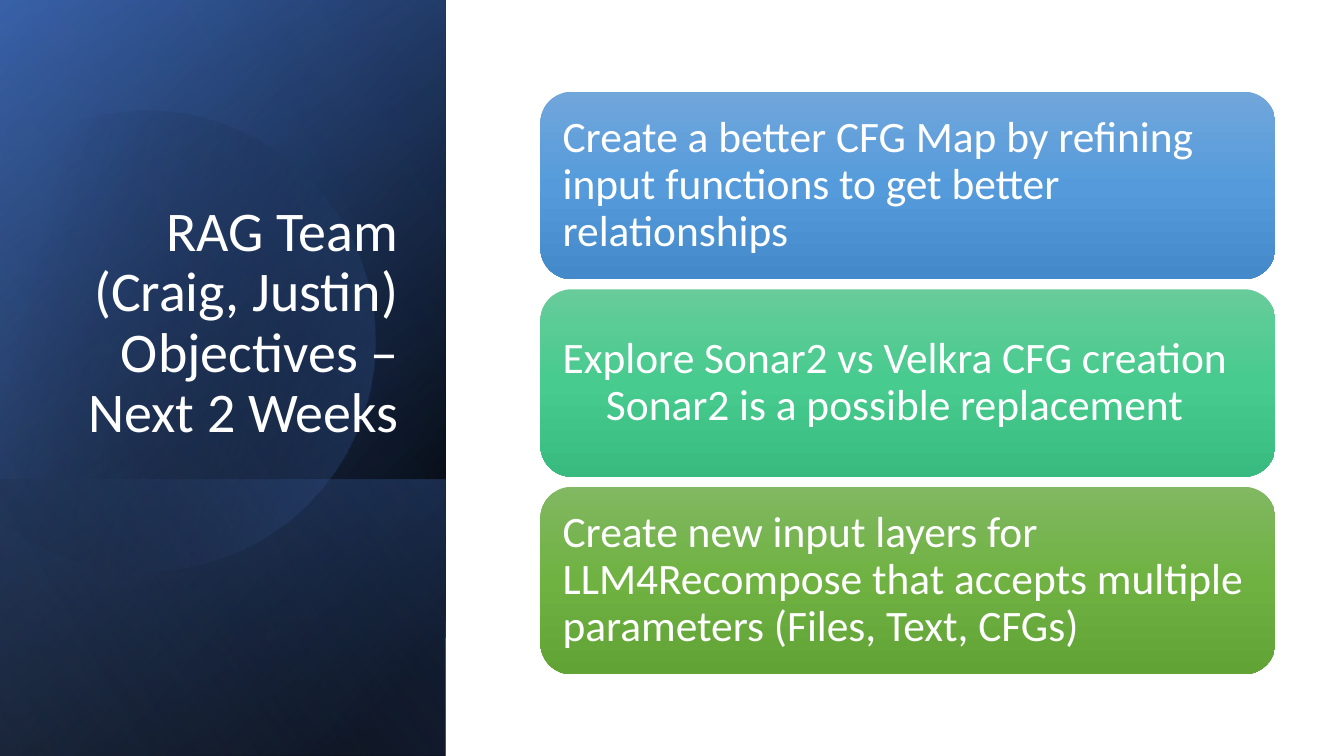
import math

from lxml import etree
from pptx import Presentation
from pptx.dml.color import RGBColor
from pptx.enum import shapes, text
from pptx.oxml import ns
from pptx.util import Inches, Pt

FONT = "Calibri"
WHITE = "FFFFFF"
PANEL_WIDTH, PANEL_HEIGHT = 4.42, 7.5

# Panel layers: height, gradient stops (position, colour, opacity), angle
BASE_LAYERS = [
    (PANEL_HEIGHT, [(8, "000000", 100), (100, "2F5597", 100)], 50),
    (PANEL_HEIGHT, [(0, "000000", 0), (99, "4472C4", 46)], 30),
    (2.74, [(2, "4472C4", 29), (100, "000000", 30)], 130),
]
DISC_STOPS = [(29, "000000", 0), (100, "4472C4", 43)]
GLOW_LAYER = (PANEL_HEIGHT, [(0, "000000", 0), (99, "8FAADC", 11)], 120)

DISC_CENTER = (1.59, 3.35)
DISC_ROTATION = 343.9
DISC_START = (1.49, 1.1)
# Each segment is a Bezier curve (three points) or a straight line (one point)
DISC_SEGMENTS = [
    [(2.46, 1.12), (3.35, 1.77), (3.63, 2.75)],
    [(3.98, 3.97), (3.28, 5.23), (2.07, 5.58)],
    [(1.31, 5.8), (0.53, 5.61), (-0.03, 5.14)],
    [(-0.15, 5.03)],
    [(-0.15, 1.75)],
    [(0, 1.61)],
    [(0.23, 1.42), (0.5, 1.28), (0.8, 1.19)],
    [(1.03, 1.13), (1.26, 1.1), (1.49, 1.1)],
]

# Lines after the first are indented
OBJECTIVES = [
    (["Create a better CFG Map by refining input functions to get better relationships"],
     ("71A6DB", "559BDB", "448ACA")),
    (["Explore Sonar2 vs Velkra CFG creation", "Sonar2 is a possible replacement"],
     ("67CC9A", "47CB8E", "39BB7F")),
    (["Create new input layers for LLM4Recompose that accepts multiple parameters (Files, Text, CFGs)"],
     ("81B861", "6FB242", "62A336")),
]
SUBLINE_INDENT = 0.43
CARD_LEFT, CARD_TOP, CARD_WIDTH, CARD_HEIGHT, CARD_PITCH = 5.36, 0.91, 7.29, 1.86, 1.96


def rgb(hex_color):
    return RGBColor.from_string(hex_color)


def paint_gradient(shape, stops, angle):
    """Fill with stops of (position %, colour, opacity %), angle clockwise; no line or shadow."""
    shape.shadow.inherit = False
    shape.line.fill.background()
    shape.fill.gradient()
    gradient = shape._element.spPr.find(ns.qn("a:gradFill"))
    for child in list(gradient):
        gradient.remove(child)
    gradient.set("rotWithShape", "1")
    stop_list = etree.SubElement(gradient, ns.qn("a:gsLst"))
    for position, color, opacity in stops:
        stop = etree.SubElement(stop_list, ns.qn("a:gs"), pos=str(position * 1000))
        stop_color = etree.SubElement(stop, ns.qn("a:srgbClr"), val=color)
        if opacity < 100:
            etree.SubElement(stop_color, ns.qn("a:alpha"), val=str(opacity * 1000))
    etree.SubElement(gradient, ns.qn("a:lin"), ang=str(angle * 60000), scaled="0")


def write_text(shape, lines, size, align=text.PP_ALIGN.LEFT,
               anchor=text.MSO_ANCHOR.MIDDLE, margin=None):
    frame = shape.text_frame
    frame.word_wrap = True
    frame.vertical_anchor = anchor
    if margin is not None:
        frame.margin_left = frame.margin_right = Inches(margin)
        frame.margin_top = frame.margin_bottom = Inches(margin)
    for number, line in enumerate(lines):
        paragraph = frame.add_paragraph() if number else frame.paragraphs[0]
        if number:
            paragraph._p.get_or_add_pPr().set("marL", str(Inches(SUBLINE_INDENT)))
        paragraph.alignment = align
        paragraph.line_spacing = 0.9
        run = paragraph.add_run()
        run.text = line
        run.font.name = FONT
        run.font.size = Pt(size)
        run.font.color.rgb = rgb(WHITE)


def add_panel_layer(slide, height, stops, angle):
    """Add a mirrored quarter-turned rectangle that ends at the slide's bottom left."""
    left = (PANEL_WIDTH - height) / 2
    top = PANEL_HEIGHT - (height + PANEL_WIDTH) / 2
    layer = slide.shapes.add_shape(shapes.MSO_SHAPE.RECTANGLE, Inches(left), Inches(top),
                                   Inches(height), Inches(PANEL_WIDTH))
    layer.rotation = 90
    layer._element.spPr.find(ns.qn("a:xfrm")).set("flipH", "1")
    paint_gradient(layer, stops, angle)


def bezier(points, steps=16):
    weights = (1, 3, 3, 1)
    for step in range(1, steps + 1):
        t = step / steps
        yield tuple(sum(w * (1 - t) ** (3 - i) * t ** i * point[axis]
                        for i, (w, point) in enumerate(zip(weights, points)))
                    for axis in (0, 1))


def turn_back(point):
    """Undo the disc's rotation, which is applied again by the shape."""
    angle = math.radians(-DISC_ROTATION)
    dx, dy = (value - center for value, center in zip(point, DISC_CENTER))
    return (Inches(DISC_CENTER[0] + dx * math.cos(angle) - dy * math.sin(angle)),
            Inches(DISC_CENTER[1] + dx * math.sin(angle) + dy * math.cos(angle)))


def add_disc(slide):
    outline = [DISC_START]
    for segment in DISC_SEGMENTS:
        outline += bezier([outline[-1], *segment]) if len(segment) == 3 else segment
    corners = [turn_back(point) for point in outline]
    builder = slide.shapes.build_freeform(*corners[0])
    builder.add_line_segments(corners[1:], close=True)
    disc = builder.convert_to_shape()
    disc.rotation = DISC_ROTATION
    paint_gradient(disc, DISC_STOPS, 30)


def add_title(slide):
    title = slide.shapes.add_textbox(Inches(0.64), Inches(1.84), Inches(3.41), Inches(2.62))
    write_text(title, ["RAG Team (Craig, Justin) Objectives – Next 2 Weeks"], 40,
               align=text.PP_ALIGN.RIGHT, anchor=text.MSO_ANCHOR.BOTTOM)


def add_objective(slide, top, lines, colors):
    card = slide.shapes.add_shape(shapes.MSO_SHAPE.ROUNDED_RECTANGLE, Inches(CARD_LEFT),
                                  Inches(top), Inches(CARD_WIDTH), Inches(CARD_HEIGHT))
    paint_gradient(card, [(i * 50, color, 100) for i, color in enumerate(colors)], 90)
    write_text(card, lines, 31, margin=0.13)


def main():
    deck = Presentation()
    deck.slide_width, deck.slide_height = Inches(13.33), Inches(7.5)
    slide = deck.slides.add_slide(deck.slide_layouts[6])
    for layer in BASE_LAYERS:
        add_panel_layer(slide, *layer)
    add_disc(slide)
    add_panel_layer(slide, *GLOW_LAYER)
    add_title(slide)
    for row, (lines, colors) in enumerate(OBJECTIVES):
        add_objective(slide, CARD_TOP + row * CARD_PITCH, lines, colors)
    deck.save("out.pptx")


if __name__ == "__main__":
    main()
